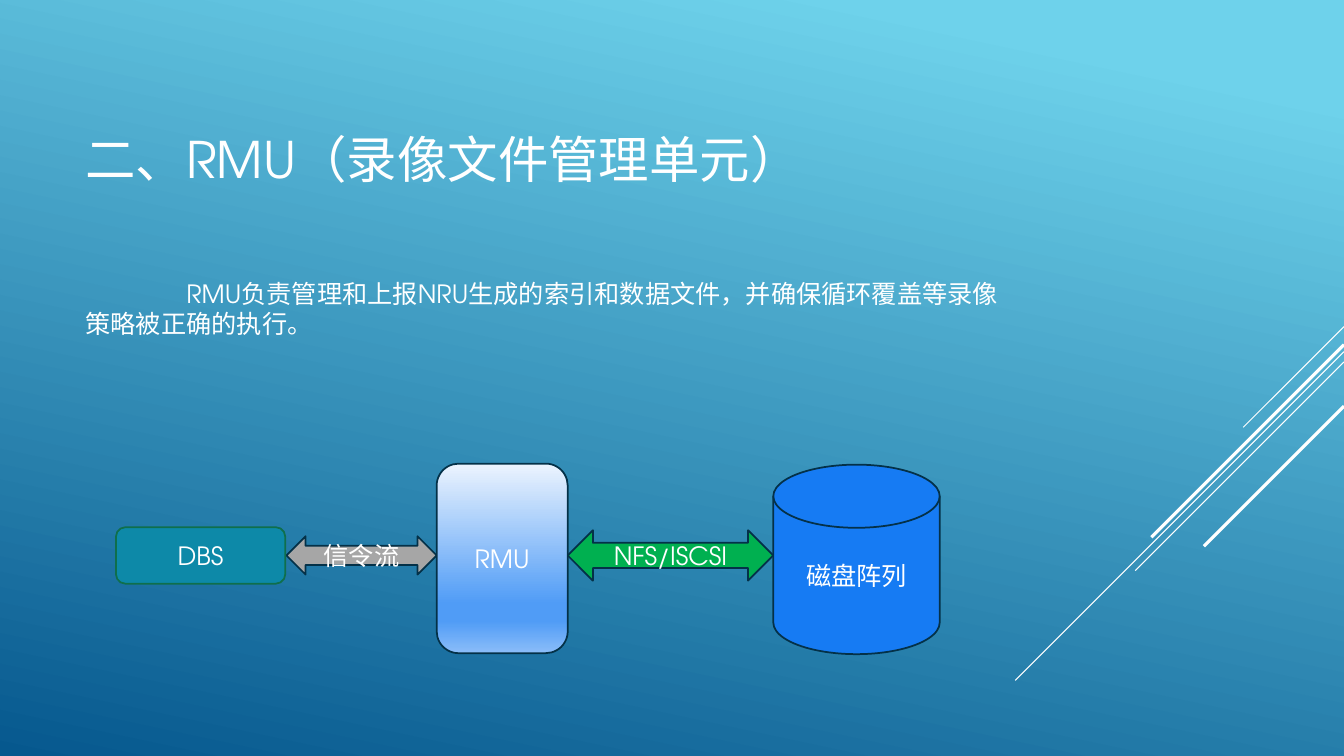
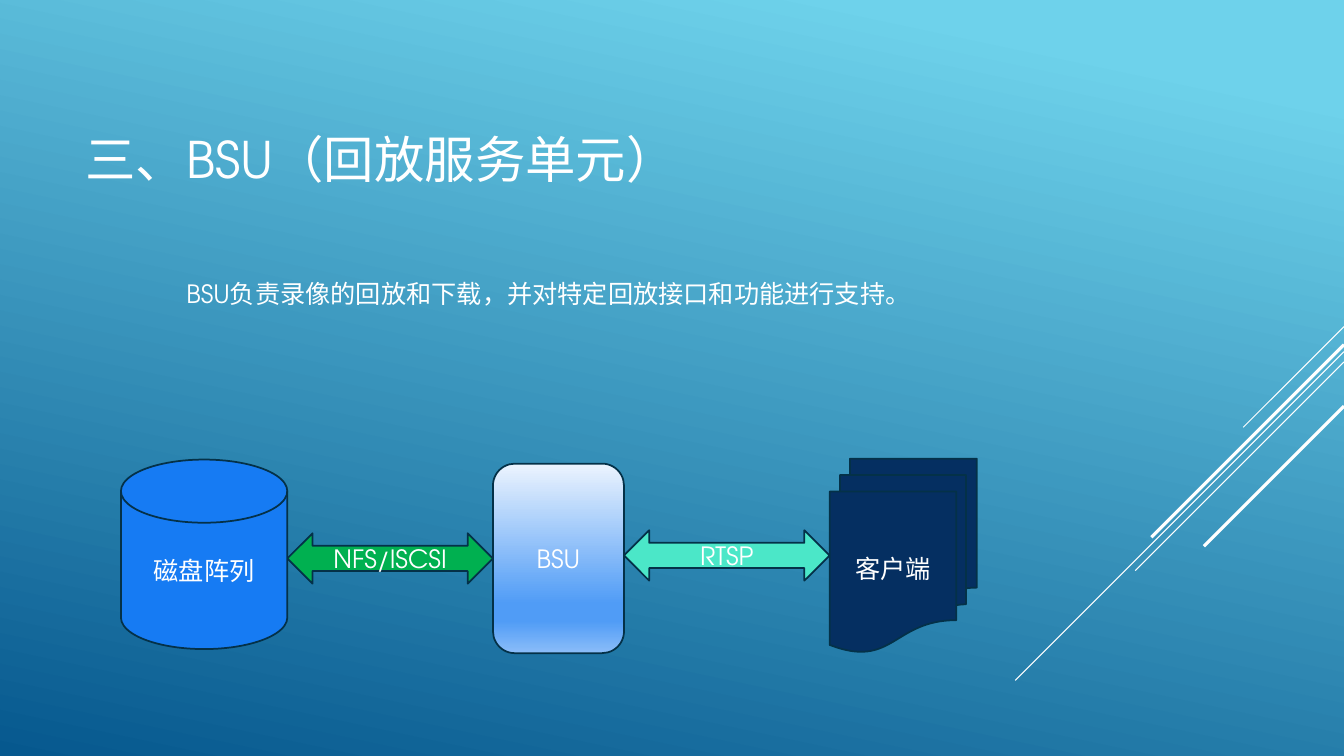
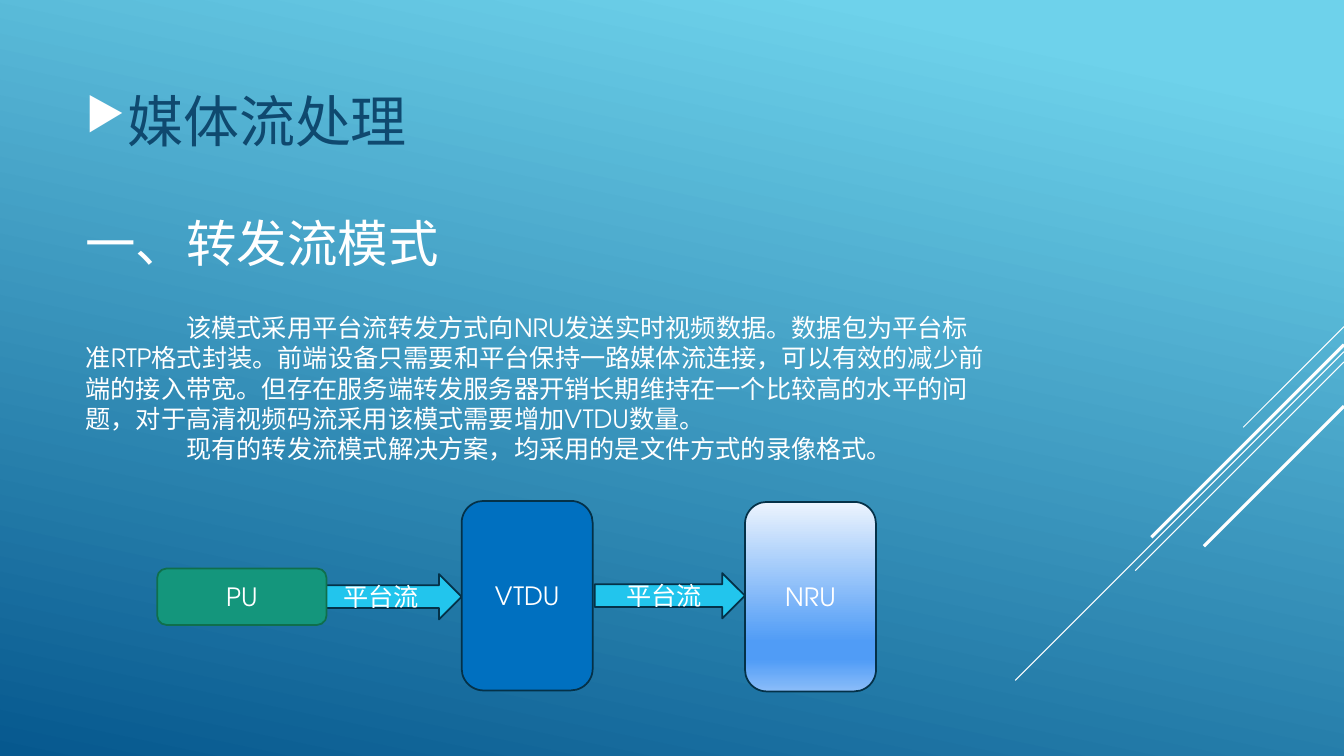
"""Build three slides on recording, playback and stream forwarding units."""
from typing import NamedTuple, Optional

from lxml.etree import SubElement
from pptx import Presentation
from pptx.dml.color import RGBColor
from pptx.enum.shapes import MSO_CONNECTOR, MSO_SHAPE as Geometry
from pptx.enum.text import MSO_ANCHOR as Anchor, PP_ALIGN as Align
from pptx.oxml.ns import qn
from pptx.util import Inches, Pt

WIDTH, HEIGHT = Inches(13.33), Inches(7.5)
FONT = "TeX Gyre Adventor"
LEFT = 5.63
WHITE = RGBColor(0xFF, 0xFF, 0xFF)
NAVY = RGBColor(0x05, 0x2F, 0x61)
HEADING_BLUE = RGBColor(0x0F, 0x49, 0x6F)
OUTLINE = RGBColor(0x04, 0x31, 0x48)
GREEN_OUTLINE = RGBColor(0x0F, 0x6F, 0x4C)
TEAL = RGBColor(0x0D, 0x89, 0xA8)
SEA_GREEN = RGBColor(0x14, 0x96, 0x7C)
DISK_BLUE = RGBColor(0x16, 0x7B, 0xF3)
RELAY_BLUE = RGBColor(0x00, 0x70, 0xC0)
GRAY = RGBColor(0xA6, 0xA6, 0xA6)
GREEN = RGBColor(0x00, 0xB0, 0x50)
MINT = RGBColor(0x4B, 0xE7, 0xC8)
CYAN = RGBColor(0x22, 0xC5, 0xED)
SKY = RGBColor(0x6E, 0xD2, 0xEB)
DEEP_BLUE = RGBColor(0x06, 0x58, 0x8E)
PALE = RGBColor(0xEC, 0xF4, 0xFE)
SOFT_BLUE = RGBColor(0x50, 0x9C, 0xF6)
LIGHT_BLUE = RGBColor(0x8B, 0xBD, 0xF9)

BACKGROUND_STOPS = ((10, SKY), (100, DEEP_BLUE))
SERVER_STOPS = ((0, PALE), (74, SOFT_BLUE), (83, SOFT_BLUE), (100, LIGHT_BLUE))
STREAKS = (
    (43.2, 13.33, 0.75),
    (46.53, 43.47, 0.75),
    (47.87, 27.6, 0.75),
    (45.6, 25.47, 2.25),
    (53.73, 18.53, 2.25),
)


class Kind(NamedTuple):
    """Look of a diagram part, sized in percent of the slide."""
    geometry: Geometry
    width: float
    height: float
    fill: Optional[RGBColor] = None
    outline: RGBColor = OUTLINE
    is_arrow: bool = False


class Part(NamedTuple):
    """A labelled part of a chain, with its middle and the gap before it."""
    kind: Kind
    label: str
    middle: float
    gap: float = 0


SERVER = Kind(Geometry.ROUNDED_RECTANGLE, 9.75, 25.07)
RELAY = SERVER._replace(fill=RELAY_BLUE)
DISK = Kind(Geometry.FLOWCHART_MAGNETIC_DISK, 12.38, 25.07, DISK_BLUE)
CLIENT = Kind(Geometry.FLOWCHART_MULTIDOCUMENT, 10.95, 25.6, NAVY)
DATABASE = Kind(Geometry.ROUNDED_RECTANGLE, 12.6, 7.47, TEAL, GREEN_OUTLINE)
CAMERA = DATABASE._replace(fill=SEA_GREEN)
SIGNAL = Kind(Geometry.LEFT_RIGHT_ARROW, 11.18, 5.07, GRAY, is_arrow=True)
STORAGE_LINK = Kind(Geometry.LEFT_RIGHT_ARROW, 15.3, 6.67, GREEN, is_arrow=True)
PLAYBACK_LINK = STORAGE_LINK._replace(fill=MINT)
STREAM = Kind(Geometry.RIGHT_ARROW, 11.18, 6, CYAN, is_arrow=True)


def across(share):
    """Turn a percentage of the slide's width into a length."""
    return round(WIDTH * share / 100)


def down(share):
    """Turn a percentage of the slide's height into a length."""
    return round(HEIGHT * share / 100)


def set_gradient(element, stops, angle):
    """Replace the stops and the clockwise angle of an element's gradient."""
    gradient = element.find(".//" + qn("a:gradFill"))
    stop_list = gradient.find(qn("a:gsLst"))
    for stop in list(stop_list):
        stop_list.remove(stop)
    for position, color in stops:
        stop = SubElement(stop_list, qn("a:gs"), pos=str(position * 1000))
        SubElement(stop, qn("a:srgbClr"), val=str(color))
    gradient.find(qn("a:lin")).set("ang", str(angle * 60000))


def add_run(paragraph, text, size, color=WHITE):
    """Add a run in the shared font."""
    run = paragraph.add_run()
    run.text = text
    run.font.name = FONT
    run.font.size = Pt(size)
    run.font.color.rgb = color


def add_text_frame(slide, top, width, height, anchor=Anchor.TOP):
    """Add a wrapping text box at the left margin and return its frame."""
    box = slide.shapes.add_textbox(across(LEFT), down(top), across(width), down(height))
    frame = box.text_frame
    frame.word_wrap = True
    frame.vertical_anchor = anchor
    return frame


def add_title(slide, text, top=10, width=70, height=22):
    """Add the slide title."""
    frame = add_text_frame(slide, top, width, height, Anchor.MIDDLE)
    add_run(frame.paragraphs[0], text, 36)


def add_body(slide, texts, top=36.13, width=70, height=9.47):
    """Add body paragraphs with an indented first line."""
    frame = add_text_frame(slide, top, width, height)
    for index, text in enumerate(texts):
        paragraph = frame.add_paragraph() if index else frame.paragraphs[0]
        paragraph._p.get_or_add_pPr().set("indent", str(Inches(1)))
        add_run(paragraph, text, 18)


def add_section_heading(slide, text):
    """Add a section heading with a triangular bullet."""
    frame = add_text_frame(slide, 10, 58.29, 11.73, Anchor.MIDDLE)
    paragraph = frame.paragraphs[0]
    paragraph.space_before, paragraph.space_after = Pt(8), Pt(6)
    properties = paragraph._p.get_or_add_pPr()
    properties.set("marL", str(Inches(0.31)))
    properties.set("indent", str(-Inches(0.31)))
    bullet_color = SubElement(properties, qn("a:buClr"))
    SubElement(bullet_color, qn("a:srgbClr"), val=str(WHITE))
    SubElement(properties, qn("a:buSzPct"), val="80000")
    SubElement(properties, qn("a:buChar"), char="▶")
    add_run(paragraph, text, 40, HEADING_BLUE)


def add_part(slide, part, left):
    """Draw one labelled part of a chain."""
    kind = part.kind
    shape = slide.shapes.add_shape(
        kind.geometry, across(left), down(part.middle - kind.height / 2),
        across(kind.width), down(kind.height))
    shape.shadow.inherit = False
    if kind.fill is None:
        shape.fill.gradient()
        set_gradient(shape.element, SERVER_STOPS, 90)
    else:
        shape.fill.solid()
        shape.fill.fore_color.rgb = kind.fill
    shape.line.color.rgb = kind.outline
    shape.line.width = Pt(1.25)
    shape.text_frame.vertical_anchor = Anchor.MIDDLE
    paragraph = shape.text_frame.paragraphs[0]
    paragraph.alignment = Align.CENTER
    add_run(paragraph, part.label, 18)


def add_chain(slide, left, parts):
    """Set parts side by side from the left, arrows behind the rest."""
    placed = []
    for part in parts:
        left += part.gap
        placed.append((part, left))
        left += part.kind.width
    for part, start in sorted(placed, key=lambda item: not item[0].kind.is_arrow):
        add_part(slide, part, start)


def add_streaks(slide):
    """Draw the diagonal lines that leave the right edge."""
    for top, run, weight in STREAKS:
        streak = slide.shapes.add_connector(
            MSO_CONNECTOR.STRAIGHT, WIDTH, down(top), WIDTH - down(run), down(top + run))
        streak.line.color.rgb = WHITE
        streak.line.width = Pt(weight)
        SubElement(streak.element.spPr, qn("a:effectLst"))


def add_slide(presentation):
    """Add a blank slide with the shared decoration."""
    slide = presentation.slides.add_slide(presentation.slide_layouts[6])
    add_streaks(slide)
    return slide


def build_recording_slide(presentation):
    """Build the slide on the recording file management unit."""
    slide = add_slide(presentation)
    add_title(slide, "二、RMU（录像文件管理单元）")
    add_body(slide, ["RMU负责管理和上报NRU生成的索引和数据文件，并确保循环覆盖等录像策略被正确的执行。"])
    add_chain(slide, 8.63, (
        Part(DATABASE, "DBS", 73.47),
        Part(SIGNAL, "信令流", 73.47, 0.08),
        Part(SERVER, "RMU", 73.87),
        Part(STORAGE_LINK, "NFS/ISCSI", 73.47),
        Part(DISK, "磁盘阵列", 74),
    ))


def build_playback_slide(presentation):
    """Build the slide on the playback service unit."""
    slide = add_slide(presentation)
    add_title(slide, "三、BSU（回放服务单元）")
    add_body(slide, ["BSU负责录像的回放和下载，并对特定回放接口和功能进行支持。"], height=5.33)
    add_chain(slide, 9, (
        Part(DISK, "磁盘阵列", 73.33),
        Part(STORAGE_LINK, "NFS/ISCSI", 73.87),
        Part(SERVER, "BSU", 73.87),
        Part(PLAYBACK_LINK, "RTSP", 73.47),
        Part(CLIENT, "客户端", 73.47),
    ))


def build_forwarding_slide(presentation):
    """Build the slide on the stream forwarding mode."""
    slide = add_slide(presentation)
    add_section_heading(slide, "媒体流处理")
    add_title(slide, "一、转发流模式", 23.73, 68.87, 16.53)
    add_body(slide, [
        "该模式采用平台流转发方式向NRU发送实时视频数据。数据包为平台标准RTP格式封装。"
        "前端设备只需要和平台保持一路媒体流连接，可以有效的减少前端的接入带宽。"
        "但存在服务端转发服务器开销长期维持在一个比较高的水平的问题，"
        "对于高清视频码流采用该模式需要增加VTDU数量。",
        "现有的转发流模式解决方案，均采用的是文件方式的录像格式。",
    ], 40.67, 68.87, 25.6)
    add_chain(slide, 11.7, (
        Part(CAMERA, "PU", 78.93),
        Part(STREAM, "平台流", 78.93, -1.13),
        Part(RELAY, "VTDU", 78.8),
        Part(STREAM, "平台流", 78.8, 0.15),
        Part(SERVER, "NRU", 78.93),
    ))


def main():
    """Build and save the presentation."""
    presentation = Presentation()
    presentation.slide_width, presentation.slide_height = WIDTH, HEIGHT
    master = presentation.slide_master
    master.background.fill.gradient()
    set_gradient(master.element, BACKGROUND_STOPS, 102)
    build_recording_slide(presentation)
    build_playback_slide(presentation)
    build_forwarding_slide(presentation)
    presentation.save("out.pptx")


if __name__ == "__main__":
    main()
